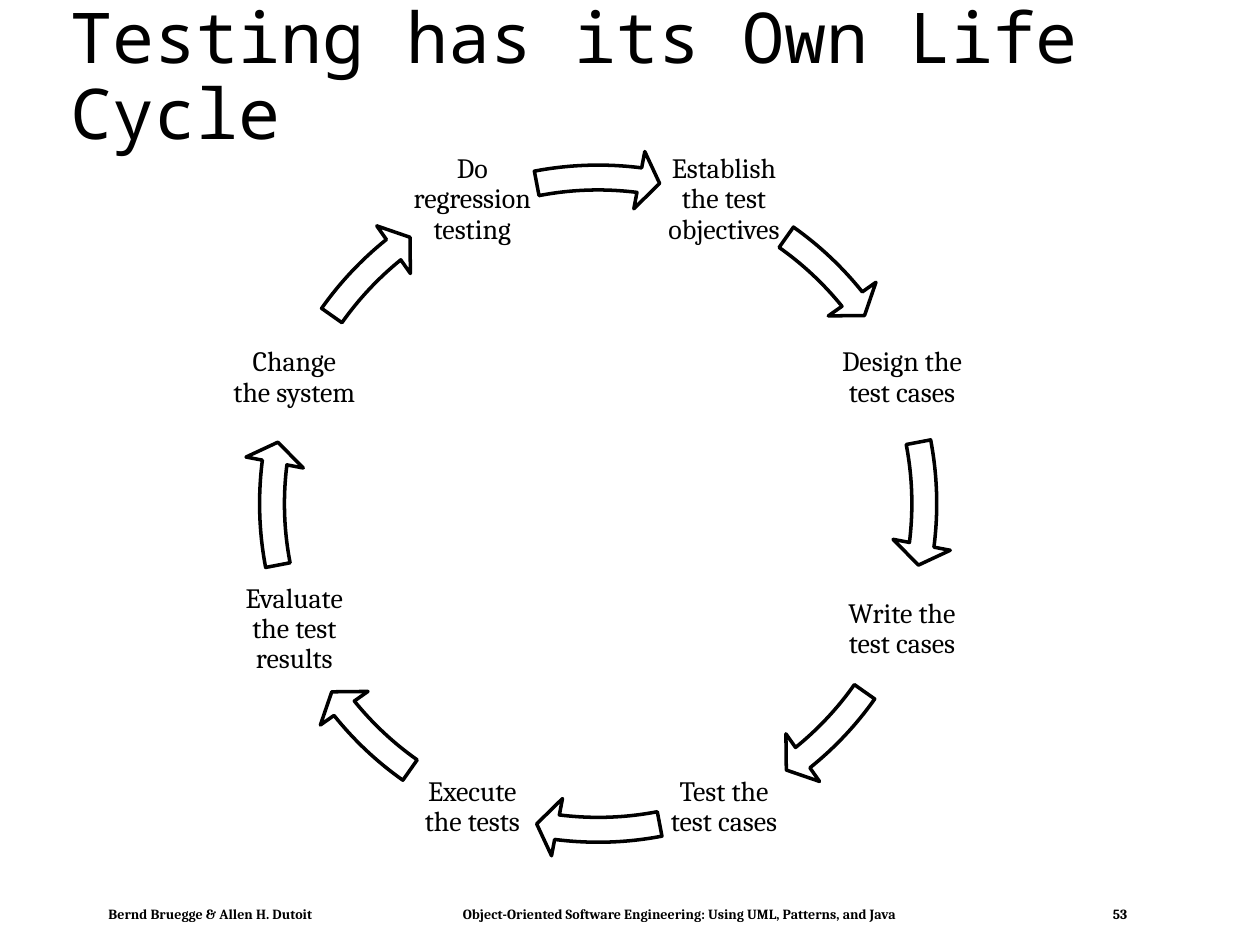
from math import cos, radians, sin

from lxml.etree import SubElement
from pptx import Presentation
from pptx.dml.color import RGBColor
from pptx.enum.shapes import MSO_SHAPE as Shape
from pptx.enum.text import MSO_ANCHOR as Anchor, PP_ALIGN as Align
from pptx.oxml.ns import qn
from pptx.util import Pt

TITLE = "Testing has its Own Life Cycle"
STEPS = [
    "Establish the test objectives",
    "Design the test cases",
    "Write the test cases",
    "Test the test cases",
    "Execute the tests",
    "Evaluate the test results",
    "Change the system",
    "Do regression testing",
]
FOOTER = [
    "Bernd Bruegge & Allen H. Dutoit",
    "Object-Oriented Software Engineering: Using UML, Patterns, and Java",
    "53",
]
FOOTER_TABS = [202.5, 574]

BLACK, WHITE = "000000", "FFFFFF"
CENTER_X, CENTER_Y = 341.8, 287.8
RING_RADIUS = 187.9
STEP_SIZE = 72.7
ARROW_SIZE = 406
ARROW_SPANS = [(305.23, 321.15), (349.14, 7.25)]
DEGREE = 0.6


def color(value):
    return RGBColor.from_string(value)


def add_text(slide, text, left, top, width, height, *, size, font="Cambria", bold=False,
             align=Align.LEFT, anchor=Anchor.TOP, inset=(7.2, 3.6), spacing=1, tabs=()):
    frame = slide.shapes.add_textbox(Pt(left), Pt(top), Pt(width), Pt(height)).text_frame
    frame.word_wrap = True
    frame.vertical_anchor = anchor
    frame.margin_left = frame.margin_right = Pt(inset[0])
    frame.margin_top = frame.margin_bottom = Pt(inset[1])
    paragraph = frame.paragraphs[0]
    paragraph.alignment = align
    paragraph.line_spacing = spacing
    if tabs:
        stops = SubElement(paragraph._p.get_or_add_pPr(), qn("a:tabLst"))
        for position in tabs:
            SubElement(stops, qn("a:tab"), pos=str(Pt(position)), algn="l")
    run = paragraph.add_run()
    run.text = text
    run.font.name = font
    run.font.size = Pt(size)
    run.font.bold = bold
    run.font.color.rgb = color(BLACK)


def add_arrow(slide, start, end):
    arrow = slide.shapes.add_shape(
        Shape.CIRCULAR_ARROW, Pt(CENTER_X - ARROW_SIZE / 2), Pt(CENTER_Y - ARROW_SIZE / 2),
        Pt(ARROW_SIZE), Pt(ARROW_SIZE))
    settings = [0.035, 2.17, end * DEGREE, start * DEGREE, 0.041]
    for index, value in enumerate(settings):
        arrow.adjustments[index] = value
    arrow.shadow.inherit = False
    arrow.fill.solid()
    arrow.fill.fore_color.rgb = color(WHITE)
    arrow.line.color.rgb = color(BLACK)
    arrow.line.width = Pt(2)


def main():
    deck = Presentation()
    deck.slide_width, deck.slide_height = Pt(720), Pt(540)
    slide = deck.slides.add_slide(deck.slide_layouts[6])

    add_text(slide, "\t".join(FOOTER), 56.2, 514.8, 595.4, 15.1, size=8, bold=True,
             inset=(5.8, 2.9), tabs=FOOTER_TABS)
    add_text(slide, TITLE, 33.1, 17.3, 642.2, 55.4, size=40, font="Noto Sans Mono",
             anchor=Anchor.MIDDLE, spacing=0.9)

    for index, step in enumerate(STEPS):
        angle = radians(-67.5 + index * 360 / len(STEPS))
        left = CENTER_X + RING_RADIUS * cos(angle) - STEP_SIZE / 2
        top = CENTER_Y + RING_RADIUS * sin(angle) - STEP_SIZE / 2
        add_text(slide, step, left, top, STEP_SIZE, STEP_SIZE, size=16, align=Align.CENTER,
                 anchor=Anchor.MIDDLE, inset=(1.6, 1.6), spacing=0.9)
        quarter, half = divmod(index, 2)
        start, end = ((degrees + 90 * quarter) % 360 for degrees in ARROW_SPANS[half])
        add_arrow(slide, start, end)

    deck.save("out.pptx")


if __name__ == "__main__":
    main()
